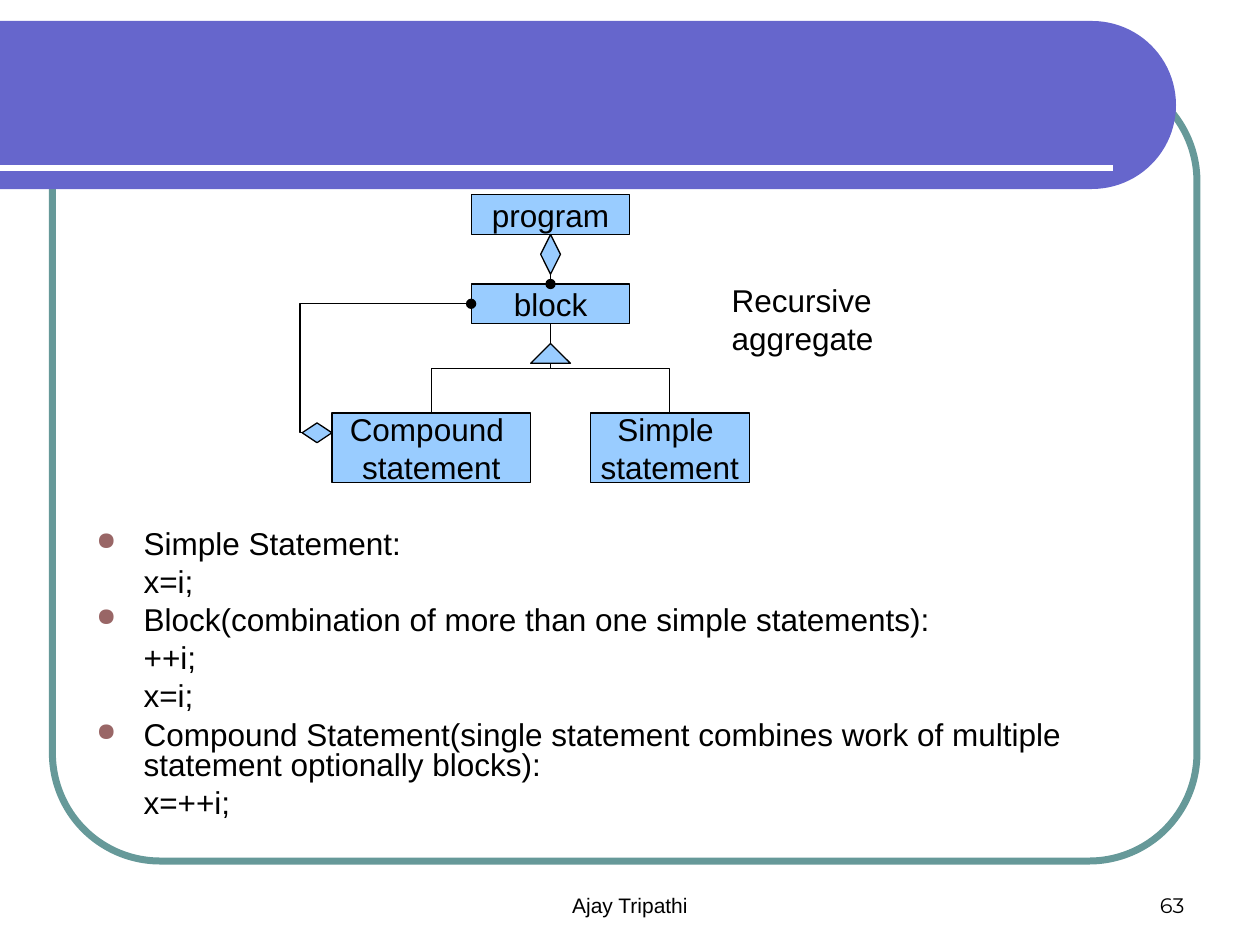
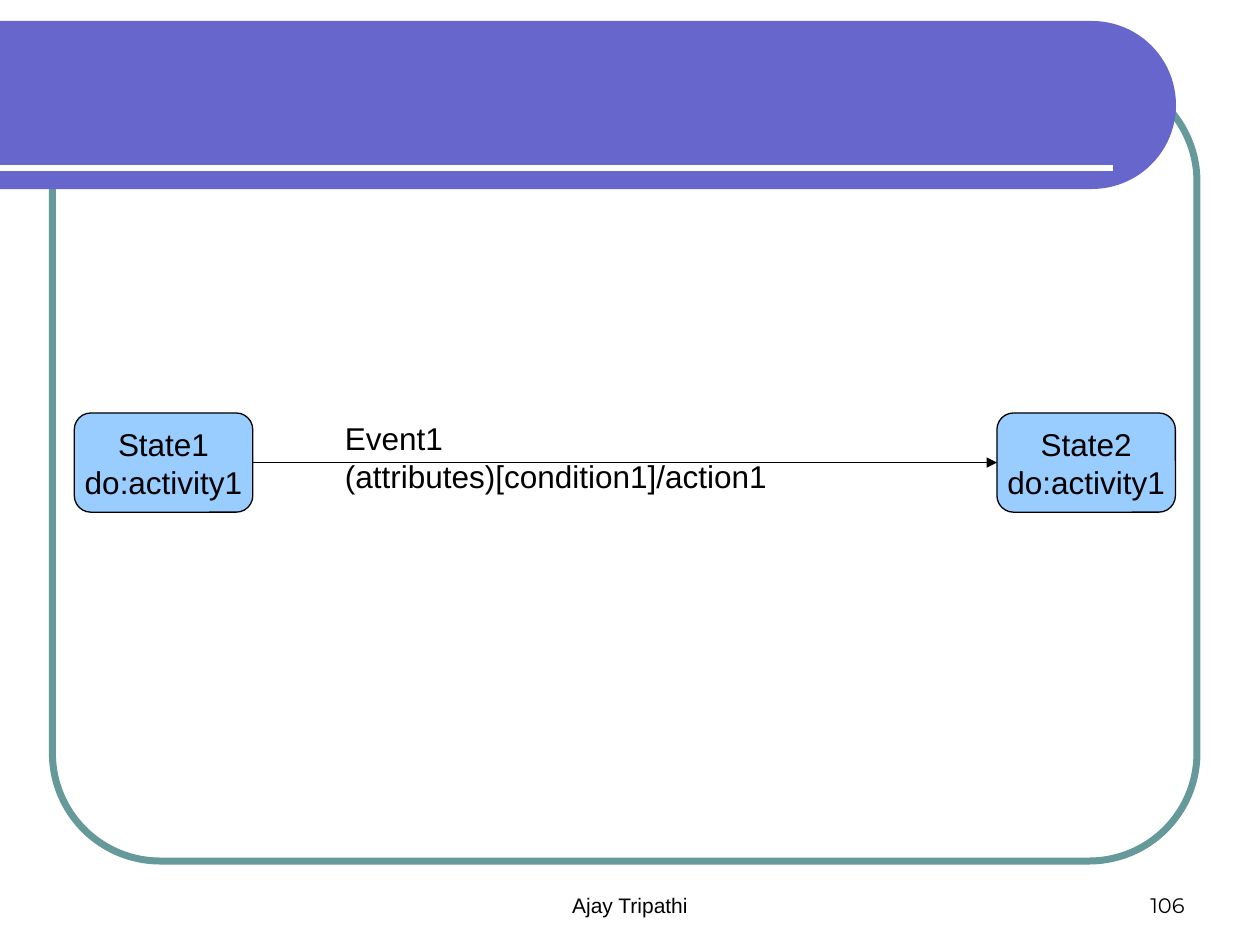
"""Build two UML slides: a recursive aggregate and a state transition."""
from dataclasses import dataclass
from math import cos, pi, sin

from pptx import Presentation
from pptx.dml.color import RGBColor
from pptx.enum.shapes import MSO_CONNECTOR as Link, MSO_SHAPE as Form
from pptx.enum.text import MSO_ANCHOR as Anchor, PP_ALIGN as Align
from pptx.oxml.ns import qn
from pptx.util import Pt

AUTHOR = "Ajay Tripathi"
PAGES = ("63", "106")
PARTS = {
    "whole": ["program"],
    "block": ["block"],
    "left": ["Compound ", "statement"],
    "right": ["Simple ", "statement"],
}
CAPTION = "Recursive aggregate"
NOTES = [
    ("Simple Statement:", ["x=i;"]),
    ("Block(combination of more than one simple statements):", ["++i;", "x=i;"]),
    ("Compound Statement(single statement combines work of multiple "
     "statement optionally blocks):", ["x=++i;"]),
]
STATES = [["State1", "do:activity1"], ["State2", "do:activity1"]]
EVENT = "Event1 (attributes)[condition1]/action1"


@dataclass(frozen=True)
class Theme:
    """Colours, fonts and sizes of the deck."""
    band: str = "6666CC"
    frame: str = "669999"
    rule: str = "FFFFFF"
    box: str = "99CCFF"
    ink: str = "000000"
    dot: str = "996666"
    font: str = "Arial"
    digits: str = "Montserrat"
    text: int = 18
    small: int = 12
    thin: float = 0.75


LOOK = Theme()


def tint(code):
    """Turn a hex code into a colour."""
    return RGBColor.from_string(code)


def write(shape, lines, align=Align.LEFT, anchor=Anchor.TOP, wrap=False,
          size=LOOK.text, font=LOOK.font):
    """Fill a shape with one paragraph per line and return the paragraphs."""
    frame = shape.text_frame
    frame.word_wrap, frame.vertical_anchor = wrap, anchor
    for rank, line in enumerate(lines):
        para = frame.add_paragraph() if rank else frame.paragraphs[0]
        para.alignment = align
        run = para.add_run()
        run.text = line
        run.font.size, run.font.name = Pt(size), font
        run.font.color.rgb = tint(LOOK.ink)
    return frame.paragraphs


def label(slide, lines, x, y, w, h, **style):
    """Add a text box."""
    return write(slide.shapes.add_textbox(Pt(x), Pt(y), Pt(w), Pt(h)), lines, **style)


def paint(shape, fill=None, line=None, width=LOOK.thin):
    """Set fill and outline, without a shadow."""
    shape.shadow.inherit = False
    for part, code in ((shape.fill, fill), (shape.line.fill, line)):
        if code:
            part.solid()
            part.fore_color.rgb = tint(code)
        else:
            part.background()
    if line:
        shape.line.width = Pt(width)
    return shape


def node(slide, form, mid, y, w, h, lines=()):
    """Add a blue shape centred on mid."""
    shape = slide.shapes.add_shape(form, Pt(mid - w / 2), Pt(y), Pt(w), Pt(h))
    paint(shape, LOOK.box, LOOK.ink)
    if lines:
        write(shape, lines, Align.CENTER, Anchor.MIDDLE)


def join(slide, start, end, kind=Link.STRAIGHT, color=LOOK.ink,
         width=LOOK.thin, head=None, bend=None):
    """Add a connector with an optional end mark and bend."""
    link = slide.shapes.add_connector(kind, *map(Pt, (*start, *end)))
    link.line.color.rgb, link.line.width = tint(color), Pt(width)
    props = link._element.spPr
    if head:
        tail = props.find(qn("a:ln")).makeelement(qn("a:tailEnd"), {"type": head})
        props.find(qn("a:ln")).append(tail)
    if bend is not None:
        guides = props.find(qn("a:prstGeom")).get_or_add_avLst()
        guides.append(guides.makeelement(
            qn("a:gd"), {"name": "adj1", "fmla": f"val {round(bend * 100000)}"}))
    props.append(props.makeelement(qn("a:effectLst"), {}))
    return link


def drop(slide, start, end):
    """Add an elbow that leaves and arrives upright."""
    (x1, y1), (x2, y2) = start, end
    mid, level = (x1 + x2) / 2, (y1 + y2) / 2
    side = 1 if x2 > x1 else -1
    half, rise = side * (y2 - y1) / 2, abs(x2 - x1) / 2
    link = join(slide, (mid + half, level - rise), (mid - half, level + rise), Link.ELBOW)
    link._element.spPr.find(qn("a:xfrm")).set("rot", str((180 + 90 * side) * 60000))


def base(deck, page):
    """Start a slide with the frame, band, rule and footer."""
    slide = deck.slides.add_slide(deck.slide_layouts[6])
    frame = slide.shapes.add_shape(Form.ROUNDED_RECTANGLE, Pt(30), Pt(42), Pt(654), Pt(450))
    frame.adjustments[0] = 0.137
    paint(frame, line=LOOK.frame, width=4)
    steps, radius = 48, 48
    turns = [pi * (step / steps - 0.5) for step in range(steps + 1)]
    curve = [(Pt(624 + radius * cos(turn)), Pt(60 + radius * sin(turn))) for turn in turns]
    outline = slide.shapes.build_freeform(0, Pt(12))
    outline.add_line_segments([*curve, (0, Pt(108))])
    paint(outline.convert_to_shape(), LOOK.band)
    join(slide, (0, 96), (636, 96), color=LOOK.rule, width=3)
    foot = dict(anchor=Anchor.BOTTOM, wrap=True, size=LOOK.small)
    label(slide, [AUTHOR], 246, 492, 228, 36, align=Align.CENTER, **foot)
    label(slide, [page], 516, 492, 168, 36, align=Align.RIGHT, font=LOOK.digits, **foot)
    return slide


def bullet(para):
    """Give a paragraph a round bullet."""
    props = para._p.get_or_add_pPr()
    props.set("indent", str(-Pt(27)))
    color = props.makeelement(qn("a:buClr"), {})
    color.append(color.makeelement(qn("a:srgbClr"), {"val": LOOK.dot}))
    props.append(color)
    props.append(props.makeelement(qn("a:buSzPct"), {"val": "80000"}))
    props.append(props.makeelement(qn("a:buChar"), {"char": "●"}))


def list_notes(slide):
    """Add the bulleted notes with their code lines."""
    rows = [row for head, code in NOTES
            for row in [(head, True), *((line, False) for line in code)]]
    paras = label(slide, [text for text, _ in rows], 48, 300, 624, 174.5, wrap=True)
    for rank, (para, (_, marked)) in enumerate(zip(paras, rows)):
        para.line_spacing = 0.8
        para.space_before = Pt(4.5 if rank else 0)
        para._p.get_or_add_pPr().set("marL", str(Pt(27)))
        if marked:
            bullet(para)


def draw_tree(slide):
    """Draw the program, block and statement classes."""
    mid, arm, wide, broad = 314.6, 68.2, 90.7, 113.4
    top, block, base_y, high, tall = 111.3, 162.3, 236, 22.7, 39.7
    left, right = mid - arm, mid + arm
    spots = {
        "whole": (mid, top, wide, high),
        "block": (mid, block, wide, high),
        "left": (left, base_y, broad, tall),
        "right": (right, base_y, wide, tall),
    }
    for name, spot in spots.items():
        node(slide, Form.RECTANGLE, *spot, PARTS[name])
    join(slide, (mid, top + high), (mid, block), head="oval")
    for child in (left, right):
        drop(slide, (mid, block + high), (child, base_y))
    node(slide, Form.DIAMOND, mid, top + high, 11.3, 22.7)
    node(slide, Form.ISOSCELES_TRIANGLE, mid, 196.3, 22.7, 11.3)
    edge, port = left - broad / 2, base_y + 11.3
    join(slide, (edge, port), (mid - wide / 2, block + high / 2),
         Link.ELBOW, head="oval", bend=-0.23)
    node(slide, Form.DIAMOND, edge - 8.5, port - 5.65, 17, 11.3)
    label(slide, [CAPTION], 411, 157, 180, 29)


def draw_states(slide):
    """Draw two states and the event between them."""
    y, w, h = 236, 102, 56.7
    mids = (93.5, 620.7)
    for mid, lines in zip(mids, STATES):
        node(slide, Form.ROUNDED_RECTANGLE, mid, y, w, h, lines)
    level = y + h / 2
    join(slide, (mids[0] + w / 2, level), (mids[1] - w / 2, level), head="triangle")
    label(slide, [EVENT], 190, y, 316, 29)


def main():
    """Build and save the deck."""
    deck = Presentation()
    deck.slide_width, deck.slide_height = Pt(720), Pt(540)
    tree, states = [base(deck, page) for page in PAGES]
    list_notes(tree)
    draw_tree(tree)
    draw_states(states)
    deck.save("out.pptx")


if __name__ == "__main__":
    main()
